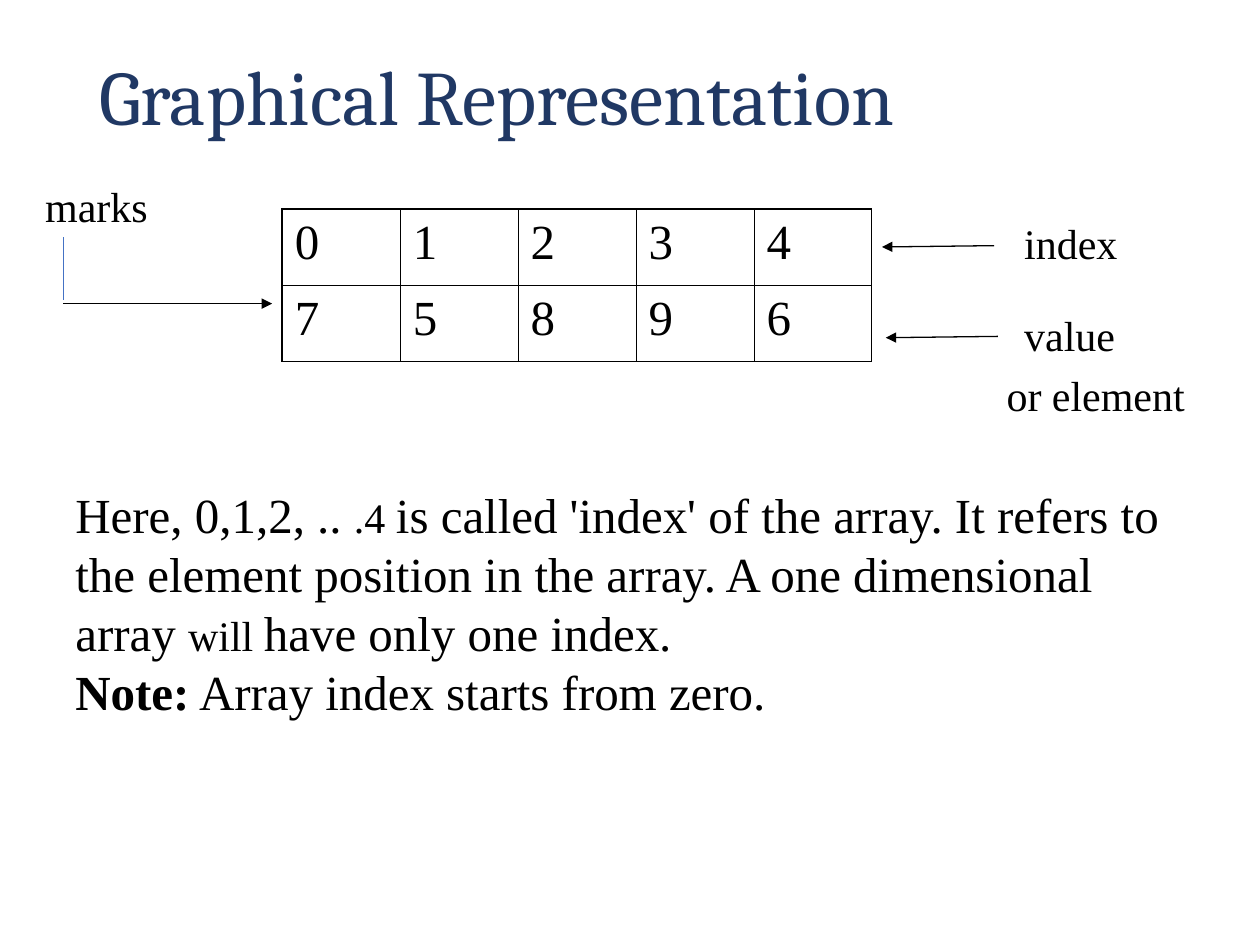
from lxml.etree import SubElement
from pptx import Presentation
from pptx.dml.color import RGBColor
from pptx.enum.shapes import MSO_CONNECTOR as Link
from pptx.enum.text import MSO_ANCHOR as Anchor, MSO_AUTO_SIZE as Fit
from pptx.oxml.ns import qn
from pptx.util import Inches, Pt

BLACK = RGBColor(0, 0, 0)
NAVY = RGBColor(0x20, 0x38, 0x64)
BLUE = RGBColor(0x44, 0x72, 0xC4)
SERIF = "Times New Roman"


def write(frame, *paras, size=24, font=SERIF, color=BLACK, wrap=True,
          anchor=Anchor.TOP, before=None, spacing=None):
    """Fill a frame; each paragraph is a list of (text, overrides) runs."""
    frame.word_wrap = wrap
    if not wrap:
        frame.auto_size = Fit.SHAPE_TO_FIT_TEXT
    frame.vertical_anchor = anchor
    for i, runs in enumerate(paras):
        para = frame.add_paragraph() if i else frame.paragraphs[0]
        para.line_spacing = spacing
        if before:
            para.space_before = Pt(before)
        for text, style in runs:
            run = para.add_run()
            run.text = text
            run.font.name = font
            run.font.size = Pt(style.get("size", size))
            run.font.bold = style.get("bold", False)
            run.font.color.rgb = color


def label(slide, text, left, top, width, height=0.5, **style):
    box = slide.shapes.add_textbox(*map(Inches, (left, top, width, height)))
    write(box.text_frame, [(text, {})], **style)


def line(slide, start, end, color=BLACK, width=0.75, arrow=True):
    link = slide.shapes.add_connector(
        Link.STRAIGHT, *map(Inches, (*start, *end)))
    link.line.color.rgb = color
    link.line.width = Pt(width)
    if arrow:
        SubElement(link.line._get_or_add_ln(), qn("a:tailEnd"), type="triangle")
    SubElement(link._element.spPr, qn("a:effectLst"))


def border(cell, **widths):
    props = cell._tc.get_or_add_tcPr()
    for side, width in widths.items():
        edge = SubElement(props, qn("a:ln" + side), w=str(Pt(width)))
        fill = SubElement(edge, qn("a:solidFill"))
        SubElement(fill, qn("a:srgbClr"), val=str(BLACK))


def grid(slide, rows, left, top, width, height):
    """Draw the array table with heavier left, top and bottom edges."""
    thin, thick = 0.45, 1.08
    count, last = len(rows[0]), len(rows) - 1
    frame = slide.shapes.add_table(
        len(rows), count, *map(Inches, (left, top, width, height)))
    table = frame.table
    table.first_row = table.horz_banding = False
    for r, row in enumerate(rows):
        for c, value in enumerate(row):
            cell = table.cell(r, c)
            write(cell.text_frame, [(value, {})], size=28, before=7)
            border(cell, L=thin if c else thick, R=thin,
                   T=thin if r else thick, B=thick if r == last else thin)
            cell.fill.background()


def array(slide, left, top):
    """Place the table with its name, arrows and row labels."""
    grid(slide, ["01234", "75896"], left + 1.98, top + 0.28, 4.68, 1.21)
    label(slide, "marks", left, top, 1.02, wrap=False)
    label(slide, "index", left + 7.77, top + 0.3, 0.94, wrap=False)
    label(slide, "value", left + 7.77, top + 1.03, 0.92, wrap=False)
    label(slide, "or element", left + 7.63, top + 1.5, 1.73)
    bend = left + 0.24
    line(slide, (bend, top + 1.03), (left + 1.9, top + 1.03))
    line(slide, (bend, top + 1), (bend, top + 0.5), BLUE, 0.5, arrow=False)
    for x, y in ((7.63, 0.57), (7.66, 1.29)):
        line(slide, (left + x, top + y), (left + x - 0.89, top + y + 0.01))


def notes(slide, left, top, width, height):
    box = slide.shapes.add_textbox(*map(Inches, (left, top, width, height)))
    small = {"size": 24}
    write(box.text_frame,
          [("Here, 0,1,2, .. ", {}), (".4 ", small),
           ("is called 'index' of the array. It refers to the element "
            "position in the array. A one dimensional array ", {}),
           ("will ", small), ("have only one index.", {})],
          [("Note:", {"bold": True}), (" Array index starts from zero.", {})],
          size=28)


def main():
    deck = Presentation()
    deck.slide_width, deck.slide_height = Inches(10), Inches(7.5)
    slide = deck.slides.add_slide(deck.slide_layouts[6])
    label(slide, "Graphical Representation", 0.69, 0.34, 8.63, 0.91, size=44,
          font="Cambria", color=NAVY, anchor=Anchor.MIDDLE, spacing=0.9)
    array(slide, 0.26, 1.38)
    notes(slide, 0.5, 3.8, 9.12, 1.97)
    deck.save("out.pptx")


if __name__ == "__main__":
    main()
